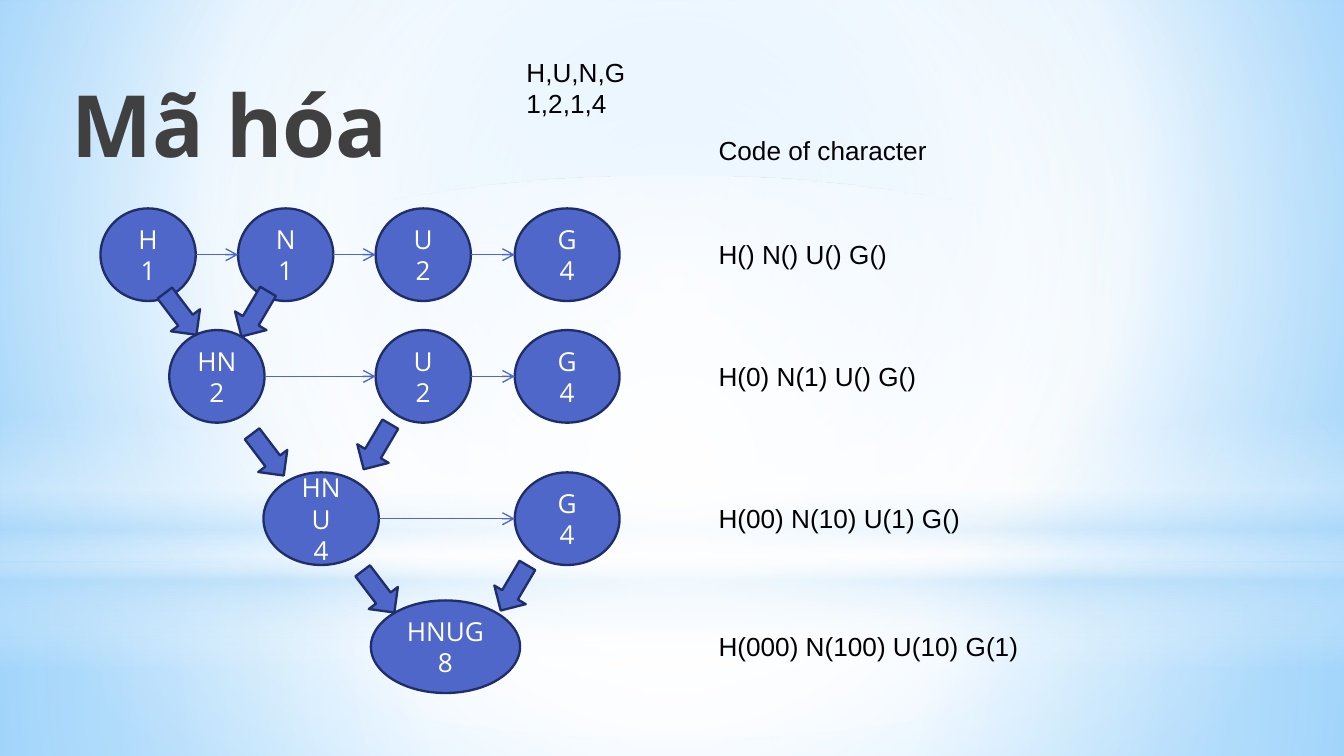
import pptx
import pptx.dml.color
import pptx.enum.shapes
import pptx.enum.text
import pptx.oxml
import pptx.oxml.ns
import pptx.util

Cm = pptx.util.Cm
Pt = pptx.util.Pt
SHAPE = pptx.enum.shapes.MSO_SHAPE
ALIGN = pptx.enum.text.PP_ALIGN
ANCHOR = pptx.enum.text.MSO_ANCHOR
AUTO_SIZE = pptx.enum.text.MSO_AUTO_SIZE
qn = pptx.oxml.ns.qn

WIDTH, HEIGHT = 25.4, 14.29
BLUE, NAVY, SKY, WHITE = "4E67C8", "1F2E69", "B4DCFA", "FFFFFF"
NODE_HEIGHT = 1.75
CENTRE = (50, 50, 50, 50)

# Each tree level: top, then nodes as (left, width, letters, weight)
H, N = (1.9, 1.8, "H", 1), (4.5, 1.8, "N", 1)
U, G = (7.1, 1.8, "U", 2), (9.73, 1.98, "G", 4)
LEVELS = [
    (3.94, [H, N, U, G], "H() N() U() G()"),
    (6.24, [(3.2, 1.8, "HN", 2), U, G], "H(0) N(1) U() G()"),
    (8.93, [(4.98, 2.18, "HNU", 4), G], "H(00) N(10) U(1) G()"),
    (11.35, [(7.01, 2.82, "HNUG", 8)], "H(000) N(100) U(10) G(1)"),
]

# Merge arrows (left, top) by rotation
MERGES = {
    322.8: [(3.07, 5.44), (4.72, 8.1), (6.81, 10.69)],
    30.6: [(4.47, 5.44), (6.78, 7.95), (9.37, 10.62)],
}

# Backdrop: shape, top, height, stops (position, colour, opacity), focus
BACKDROP = [
    (SHAPE.RECTANGLE, 10.64, 3.65,
     [(0, WHITE, 91), (37, WHITE, 76), (100, SKY, 79)], CENTRE),
    (SHAPE.RECTANGLE, 0, 10.64,
     [(0, WHITE, 89), (48, WHITE, 62), (100, SKY, 79)], CENTRE),
    (SHAPE.RECTANGLE, 7.85, 4.78,
     [(0, WHITE, 0), (29, WHITE, 30), (45, SKY, 40), (55, WHITE, 26),
      (65, SKY, 60), (100, WHITE, 0)], None),
    (SHAPE.OVAL, 3.33, 10.64, [(0, WHITE, 100), (56, WHITE, 0)], CENTRE),
]


def rgb(value):
    return pptx.dml.color.RGBColor.from_string(value)


def set_gradient(properties, stops, focus):
    """Swap a solid fill for a radial gradient, or a vertical one if focus is None."""
    stop_xml = "".join(
        f'<a:gs pos="{position * 1000}"><a:srgbClr val="{colour}">'
        f'<a:alpha val="{opacity * 1000}"/></a:srgbClr></a:gs>'
        for position, colour, opacity in stops)
    if focus:
        sides = " ".join(f'{side}="{share * 1000}"' for side, share in zip("ltrb", focus))
        direction = f'<a:path path="circle"><a:fillToRect {sides}/></a:path>'
    else:
        direction = '<a:lin ang="5400000" scaled="0"/>'
    gradient = pptx.oxml.parse_xml(
        f'<a:gradFill {pptx.oxml.ns.nsdecls("a")} rotWithShape="1">'
        f'<a:gsLst>{stop_xml}</a:gsLst>{direction}</a:gradFill>')
    properties.replace(properties.find(qn("a:solidFill")), gradient)


def write(paragraph, text, size, font, colour, bold=False):
    run = paragraph.add_run()
    run.text = text
    run.font.size = Pt(size)
    run.font.name = font
    run.font.bold = bold
    run.font.color.rgb = rgb(colour)


def write_lines(frame, lines, font, colour, align):
    for index, line in enumerate(lines):
        paragraph = frame.add_paragraph() if index else frame.paragraphs[0]
        paragraph.alignment = align
        write(paragraph, line, 14, font, colour)


def add_backdrop(slide):
    slide.background.fill.solid()
    slide.background.fill.fore_color.rgb = rgb(WHITE)
    set_gradient(slide.element.find(".//" + qn("p:bgPr")),
                 [(0, "9ED5FF", 100), (60, WHITE, 100), (100, "5BB9FF", 100)],
                 (20, 10, 20, 60))
    for kind, top, height, stops, focus in BACKDROP:
        band = slide.shapes.add_shape(kind, 0, Cm(top), Cm(WIDTH), Cm(height))
        band.shadow.inherit = False
        band.line.fill.background()
        band.fill.solid()
        set_gradient(band.element.spPr, stops, focus)


def add_title(slide, text):
    title = slide.shapes.title
    slide.shapes.element.append(title.element)  # bring in front of the backdrop
    title.left, title.top, title.width, title.height = Cm(1.09), Cm(1.14), Cm(18.08), Cm(2.39)
    frame = title.text_frame
    frame.auto_size = AUTO_SIZE.NONE
    frame.vertical_anchor = ANCHOR.MIDDLE
    frame.paragraphs[0].alignment = ALIGN.LEFT
    write(frame.paragraphs[0], text, 46, "Open Sans", "404040", bold=True)


def add_label(slide, left, top, width, height, lines, wrap=True):
    label = slide.shapes.add_textbox(Cm(left), Cm(top), Cm(width), Cm(height))
    label.text_frame.word_wrap = wrap
    label.text_frame.auto_size = AUTO_SIZE.SHAPE_TO_FIT_TEXT
    write_lines(label.text_frame, lines, "Arial", "000000", ALIGN.LEFT)


def add_blue_shape(slide, kind, left, top, width, height):
    shape = slide.shapes.add_shape(kind, Cm(left), Cm(top), Cm(width), Cm(height))
    shape.shadow.inherit = False
    shape.fill.solid()
    shape.fill.fore_color.rgb = rgb(BLUE)
    shape.line.color.rgb = rgb(NAVY)
    shape.line.width = Pt(1.25)
    return shape


def add_node(slide, left, top, width, letters, weight):
    node = add_blue_shape(slide, SHAPE.OVAL, left, top, width, NODE_HEIGHT)
    node.text_frame.word_wrap = True
    node.text_frame.vertical_anchor = ANCHOR.MIDDLE
    write_lines(node.text_frame, [letters, str(weight)], "Open Sans", WHITE, ALIGN.CENTER)


def add_link(slide, start, end, y):
    link = slide.shapes.add_connector(
        pptx.enum.shapes.MSO_CONNECTOR.STRAIGHT, Cm(start), Cm(y), Cm(end), Cm(y))
    link.line.color.rgb = rgb(BLUE)
    link.line.width = Pt(0.75)
    line = link.line._get_or_add_ln()
    line.append(line.makeelement(qn("a:tailEnd"), {"type": "arrow"}))
    properties = link.element.spPr
    properties.append(properties.makeelement(qn("a:effectLst"), {}))


def add_level(slide, top, nodes, code):
    for left, width, letters, weight in nodes:
        add_node(slide, left, top, width, letters, weight)
    for (left, width, *_), (next_left, *_) in zip(nodes, nodes[1:]):
        add_link(slide, left + width, next_left, top + NODE_HEIGHT / 2)
    add_label(slide, 13.33, top + 0.45, 6.53, 0.86, [code])


def main():
    deck = pptx.Presentation()
    deck.slide_width, deck.slide_height = Cm(WIDTH), Cm(HEIGHT)
    slide = deck.slides.add_slide(deck.slide_layouts[5])

    # Background and heading
    add_backdrop(slide)
    add_title(slide, "Mã hóa")
    add_label(slide, 9.7, 0.94, 2.39, 1.45, ["H,U,N,G", "1,2,1,4"], wrap=False)
    add_label(slide, 13.33, 2.41, 4.47, 0.86, ["Code of character"], wrap=False)

    # Tree levels with their codes
    for top, nodes, code in LEVELS:
        add_level(slide, top, nodes, code)

    # Arrows that merge two nodes into one
    for rotation, places in MERGES.items():
        for left, top in places:
            arrow = add_blue_shape(slide, SHAPE.DOWN_ARROW, left, top, 0.69, 0.99)
            arrow.rotation = rotation

    deck.save("out.pptx")


if __name__ == "__main__":
    main()
